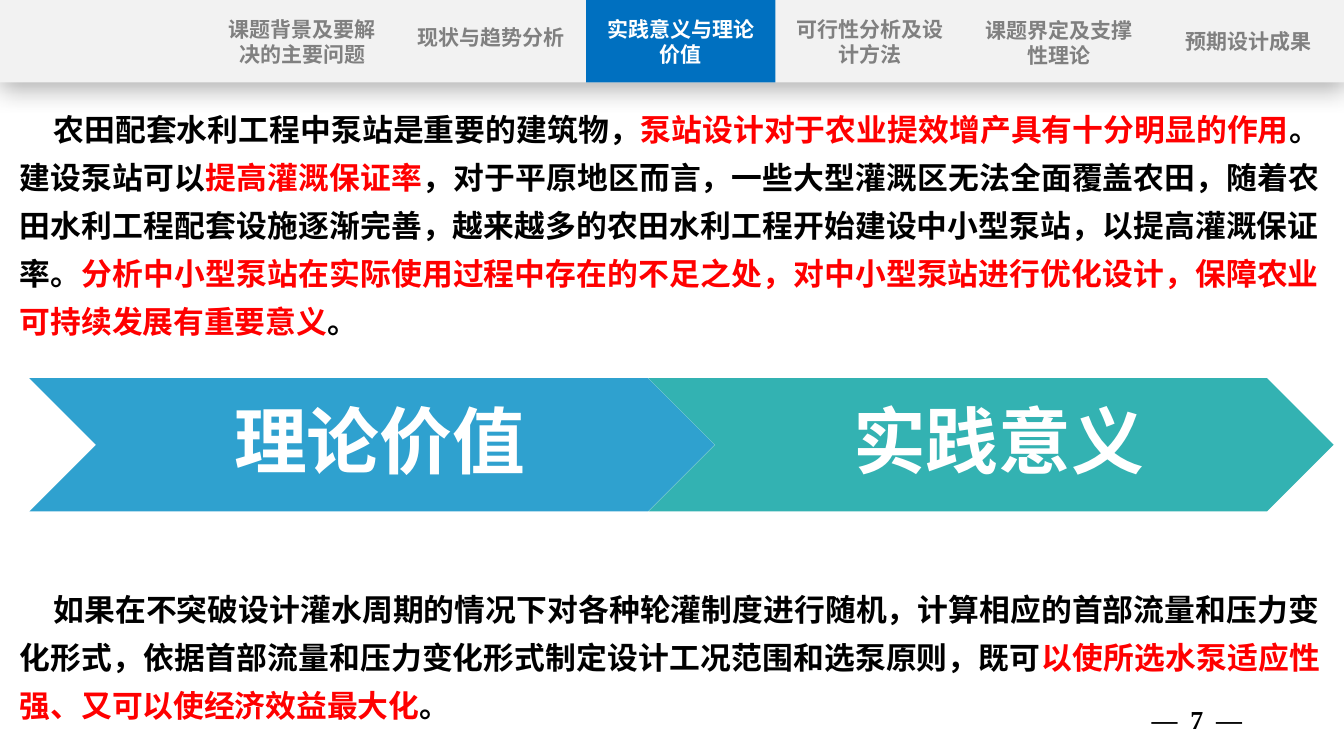
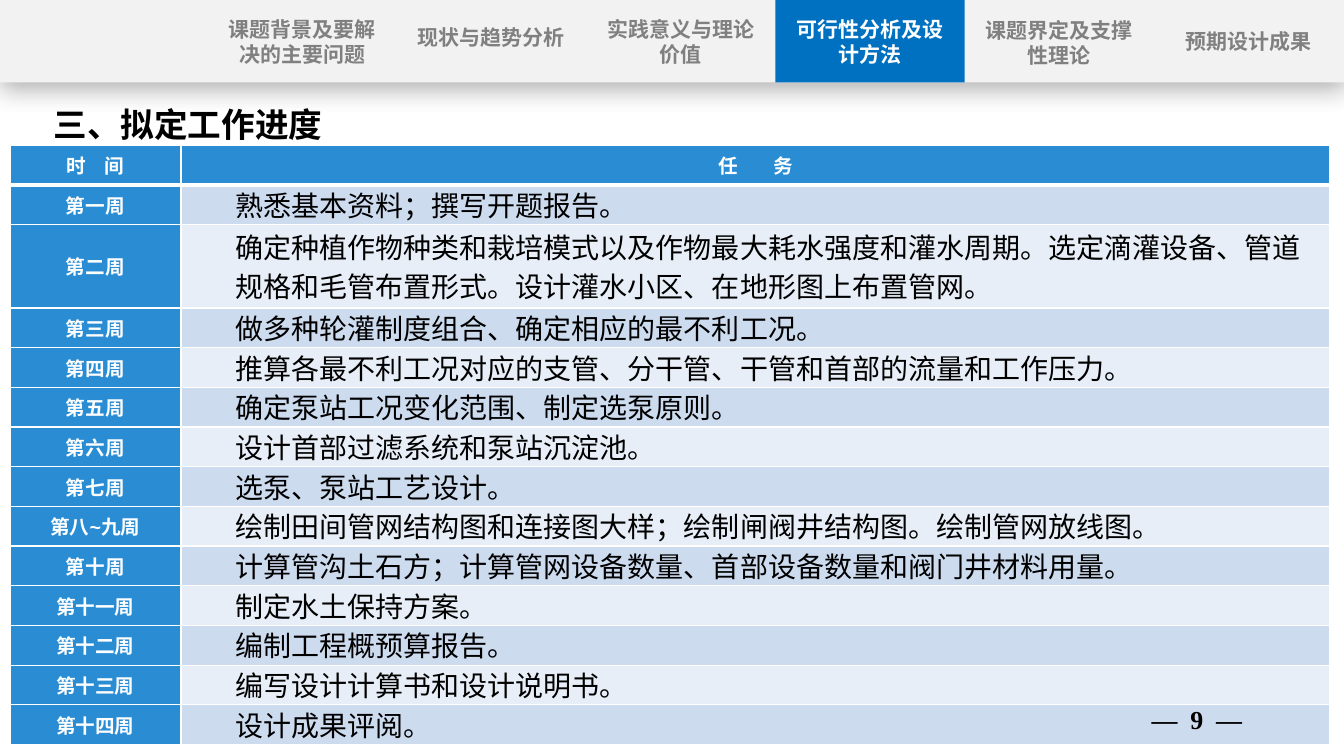
import dataclasses
import typing

import lxml.etree
import pptx
import pptx.dml.color
import pptx.enum.lang
import pptx.enum.shapes
import pptx.enum.text
import pptx.oxml
import pptx.oxml.ns
import pptx.util

Cm = pptx.util.Cm
Pt = pptx.util.Pt
Align = pptx.enum.text.PP_ALIGN
Anchor = pptx.enum.text.MSO_ANCHOR

SLIDE_WIDTH, SLIDE_HEIGHT = 33.87, 19.05
SANS, ARIAL, SERIF = "Noto Sans CJK SC", "Arial", "Times New Roman"
BLACK, WHITE, RED = "000000", "FFFFFF", "FF0000"
BAND, ACTIVE_TAB, IDLE_TEXT = "F2F2F2", "0070C0", "808080"
TABLE_BLUE, ROW_COLORS = "2A8DD4", ("CDDBEF", "E8EEF7")

BAND_HEIGHT = 2.08
TAB_LEFT, TAB_PITCH, TAB_TEXT_WIDTH = 5.23, 4.77, 4.09
MARGIN_LEFT, CONTENT_WIDTH = 0.25, 33.27
ROW_HEIGHT, TALL_ROW_HEIGHT = 1.0, 2.1


@dataclasses.dataclass(frozen=True)
class Box:
    left: float
    top: float
    width: float
    height: float

    def lengths(self) -> tuple[int, int, int, int]:
        return Cm(self.left), Cm(self.top), Cm(self.width), Cm(self.height)


@dataclasses.dataclass(frozen=True)
class Span:
    text: str
    color: str = BLACK
    extra_space: float = 0


@dataclasses.dataclass(frozen=True)
class Tab:
    label: str
    text_top: float


@dataclasses.dataclass(frozen=True)
class Chevron:
    label: str
    color: str


TABS = (
    Tab("课题背景及要解决的主要问题", 0.31),
    Tab("现状与趋势分析", 0.53),
    Tab("实践意义与理论价值", 0.31),
    Tab("可行性分析及设计方法", 0.31),
    Tab("课题界定及支撑性理论", 0.33),
    Tab("预期设计成果", 0.62),
)
CHEVRONS = (Chevron("理论价值", "2FA1CF"), Chevron("实践意义", "33B2B2"))
BACKGROUND = (
    Span("农田配套水利工程中泵站是重要的建筑物，"),
    Span("泵站设计对于农业提效增产具有十分明显的作用", RED),
    Span("。建设泵站可以"),
    Span("提高灌溉保证率", RED),
    Span("，对于平原地区而言，一些大型灌溉区无法全面覆盖农田，随着农田水利工程配套设施逐渐完善，"
         "越来越多的农田水利工程开始建设中小型泵站，以提高灌溉保证率。"),
    Span("分析中小型泵站在实际使用过程中存在的不足之处，对中小型泵站进行优化设计，"
         "保障农业可持续发展有重要意义", RED),
    Span("。"),
)
BENEFIT = (
    Span("如果在不突破设计灌水周期的情况下对各种轮灌制度进行随机，计算相应的首部流量和压力变化形式，"
         "依据首部流量和压力变化形式制定设计工况范围和选泵原则，既可"),
    Span("以使所选水泵适应性强、又可以使经济效益最大化", RED),
    Span("。"),
)
SCHEDULE = (
    ("第一周", "熟悉基本资料；撰写开题报告。"),
    ("第二周", "确定种植作物种类和栽培模式以及作物最大耗水强度和灌水周期。选定滴灌设备、管道规格和"
               "毛管布置形式。设计灌水小区、在地形图上布置管网。"),
    ("第三周", "做多种轮灌制度组合、确定相应的最不利工况。"),
    ("第四周", "推算各最不利工况对应的支管、分干管、干管和首部的流量和工作压力。"),
    ("第五周", "确定泵站工况变化范围、制定选泵原则。"),
    ("第六周", "设计首部过滤系统和泵站沉淀池。"),
    ("第七周", "选泵、泵站工艺设计。"),
    ("第八~九周", "绘制田间管网结构图和连接图大样；绘制闸阀井结构图。绘制管网放线图。"),
    ("第十周", "计算管沟土石方；计算管网设备数量、首部设备数量和阀门井材料用量。"),
    ("第十一周", "制定水土保持方案。"),
    ("第十二周", "编制工程概预算报告。"),
    ("第十三周", "编写设计计算书和设计说明书。"),
    ("第十四周", "设计成果评阅。"),
)
TALL_ROW = 2


def rgb(color: str) -> pptx.dml.color.RGBColor:
    return pptx.dml.color.RGBColor.from_string(color)


def gapped(parts: typing.Sequence[str], extra_space: float, color: str) -> list[Span]:
    """Join parts with single spaces, each widened by extra_space points."""
    spans = [Span(parts[0], color)]
    for part in parts[1:]:
        spans += [Span(" ", color, extra_space), Span(part, color)]
    return spans


def write(frame, spans: typing.Iterable[Span], *, size: float, font: str = SANS,
          bold: bool = True, align=Align.CENTER, line_spacing=None,
          left_indent: float = 0, first_indent: float = 0) -> None:
    """Fill the only paragraph of a text frame, without bullet or inherited spacing."""
    paragraph = frame.paragraphs[0]
    paragraph.alignment = align
    paragraph.space_before = paragraph.space_after = Pt(0)
    if line_spacing is not None:
        paragraph.line_spacing = line_spacing
    properties = paragraph._p.get_or_add_pPr()
    properties.set("marL", str(Cm(left_indent)))
    properties.set("indent", str(Cm(first_indent)))
    lxml.etree.SubElement(properties, pptx.oxml.ns.qn("a:buNone"))
    for span in spans:
        run = paragraph.add_run()
        run.text = span.text
        run.font.size, run.font.bold, run.font.name = Pt(size), bold, font
        run.font.language_id = pptx.enum.lang.MSO_LANGUAGE_ID.SIMPLIFIED_CHINESE
        run.font.color.rgb = rgb(span.color)
        run_properties = run.font._element
        if span.extra_space:
            run_properties.set("spc", str(round(span.extra_space * 100)))
        east_asian = lxml.etree.SubElement(run_properties, pptx.oxml.ns.qn("a:ea"))
        east_asian.set("typeface", SANS)


def prepare_frame(shape, *, anchor=Anchor.TOP,
                  margins: tuple[float, float, float, float] = (0.25, 0.13, 0.25, 0.13)):
    """Set wrapping, anchor and margins (left, top, right, bottom); return the frame."""
    frame = shape.text_frame
    frame.word_wrap = True
    frame.auto_size = pptx.enum.text.MSO_AUTO_SIZE.NONE
    frame.vertical_anchor = anchor
    (frame.margin_left, frame.margin_top,
     frame.margin_right, frame.margin_bottom) = map(Cm, margins)
    return frame


def bring_placeholder(slide, index: int, box: Box):
    """Move a placeholder to the box and in front of everything drawn so far."""
    shape = slide.placeholders[index]
    shape.left, shape.top, shape.width, shape.height = box.lengths()
    slide.shapes._spTree.append(shape._element)
    return shape


def add_filled_shape(slide, kind, box: Box, color: str):
    shape = slide.shapes.add_shape(kind, *box.lengths())
    shape.fill.solid()
    shape.fill.fore_color.rgb = rgb(color)
    shape.line.fill.background()
    shape.shadow.inherit = False
    return shape


def add_soft_shadow(shape) -> None:
    effects = shape._element.spPr.find(pptx.oxml.ns.qn("a:effectLst"))
    effects.append(pptx.oxml.parse_xml(
        f'<a:outerShdw {pptx.oxml.ns.nsdecls("a")} blurRad="{Pt(18)}" dist="{Pt(4)}" '
        f'dir="5400000" algn="t" rotWithShape="0"><a:srgbClr val="{BLACK}">'
        '<a:alpha val="29000"/></a:srgbClr></a:outerShdw>'))


def add_navigation(slide, active: int, active_is_title: bool) -> None:
    rectangle = pptx.enum.shapes.MSO_SHAPE.RECTANGLE
    band = add_filled_shape(slide, rectangle, Box(0, 0, SLIDE_WIDTH, BAND_HEIGHT), BAND)
    add_soft_shadow(band)
    add_filled_shape(slide, rectangle,
                     Box(TAB_LEFT + active * TAB_PITCH, 0, TAB_PITCH, BAND_HEIGHT), ACTIVE_TAB)
    for index, tab in enumerate(TABS):
        left = TAB_LEFT + index * TAB_PITCH + (TAB_PITCH - TAB_TEXT_WIDTH) / 2
        box = Box(left, tab.text_top, TAB_TEXT_WIDTH, 1.47)
        if index == active and active_is_title:
            shape = bring_placeholder(slide, 0, box)
        else:
            shape = slide.shapes.add_textbox(*box.lengths())
        color = WHITE if index == active else IDLE_TEXT
        write(prepare_frame(shape, margins=(0, 0.1, 0, 0.1)), [Span(tab.label, color)],
              size=15, line_spacing=Pt(18))


def add_page_number(slide, number: int) -> None:
    shape = slide.shapes.add_textbox(*Box(23.93, 17.65, 7.62, 1.02).lengths())
    write(prepare_frame(shape, anchor=Anchor.MIDDLE), gapped(("—", str(number), "—"), 4.6, BLACK),
          size=18.5, font=SERIF, align=Align.RIGHT, line_spacing=0.9)


def add_chevrons(slide) -> None:
    width, height = 17.27, 3.36
    for index, chevron in enumerate(CHEVRONS):
        box = Box(0.74 + index * (width - height / 2 + 0.01), 9.53, width, height)
        shape = add_filled_shape(slide, pptx.enum.shapes.MSO_SHAPE.CHEVRON, box, chevron.color)
        frame = prepare_frame(shape, anchor=Anchor.MIDDLE, margins=(0.58, 0.2, 0.2, 0.2))
        write(frame, [Span(chevron.label, WHITE)], size=52, font=ARIAL, line_spacing=0.9)


def format_cell(cell, color: str, top_width: float, bottom_width: float) -> None:
    cell.vertical_anchor = Anchor.MIDDLE
    cell.margin_left = cell.margin_right = Cm(0.1)
    cell.margin_top = cell.margin_bottom = Cm(0)
    properties = cell._tc.get_or_add_tcPr()
    for side, width in (("L", 1), ("R", 1), ("T", top_width), ("B", bottom_width)):
        properties.append(pptx.oxml.parse_xml(
            f'<a:ln{side} {pptx.oxml.ns.nsdecls("a")} w="{Pt(width)}"><a:solidFill>'
            f'<a:srgbClr val="{WHITE}"/></a:solidFill></a:ln{side}>'))
    cell.fill.solid()
    cell.fill.fore_color.rgb = rgb(color)


def add_schedule(slide) -> None:
    box = Box(MARGIN_LEFT, 3.66, CONTENT_WIDTH, ROW_HEIGHT * len(SCHEDULE) + TALL_ROW_HEIGHT)
    table = slide.shapes.add_table(len(SCHEDULE) + 1, 2, *box.lengths()).table
    table.columns[0].width, table.columns[1].width = Cm(4.31), Cm(CONTENT_WIDTH - 4.31)
    for index, row in enumerate(table.rows):
        row.height = Cm(TALL_ROW_HEIGHT if index == TALL_ROW else ROW_HEIGHT)

    headings = (gapped(("时", "间"), 9.4, WHITE), gapped(("任", "务"), 22, WHITE))
    for column, heading in enumerate(headings):
        cell = table.cell(0, column)
        format_cell(cell, TABLE_BLUE, 1, 3)
        write(cell.text_frame, heading, size=14, font=ARIAL)

    for index, (week, task) in enumerate(SCHEDULE):
        week_cell, task_cell = table.cell(index + 1, 0), table.cell(index + 1, 1)
        top_width = 3 if index == 0 else 1
        format_cell(week_cell, TABLE_BLUE, top_width, 1)
        format_cell(task_cell, ROW_COLORS[index % 2], top_width, 1)
        write(week_cell.text_frame, [Span(week, WHITE)], size=14, font=ARIAL)
        write(task_cell.text_frame, [Span(task)], size=20, font=ARIAL, bold=False,
              align=Align.LEFT, line_spacing=Pt(28), left_indent=1.27)


def build_significance_slide(presentation) -> None:
    slide = presentation.slides.add_slide(presentation.slide_layouts[3])
    add_navigation(slide, active=2, active_is_title=True)
    for index, spans, top, height in ((1, BACKGROUND, 2.39, 6.4), (2, BENEFIT, 14.48, 4)):
        shape = bring_placeholder(slide, index, Box(MARGIN_LEFT, top, CONTENT_WIDTH, height))
        write(prepare_frame(shape), spans, size=22, align=Align.JUSTIFY,
              line_spacing=Pt(34.3), first_indent=0.85)
    add_chevrons(slide)
    add_page_number(slide, 7)


def build_schedule_slide(presentation) -> None:
    slide = presentation.slides.add_slide(presentation.slide_layouts[5])
    add_navigation(slide, active=3, active_is_title=False)
    title = bring_placeholder(slide, 0, Box(MARGIN_LEFT, 2.18, CONTENT_WIDTH, 1.6))
    write(prepare_frame(title), [Span("三、拟定工作进度")], size=24, align=Align.JUSTIFY,
          line_spacing=Pt(37.4), first_indent=0.85)
    add_schedule(slide)
    add_page_number(slide, 9)


def main() -> None:
    presentation = pptx.Presentation()
    presentation.slide_width, presentation.slide_height = Cm(SLIDE_WIDTH), Cm(SLIDE_HEIGHT)
    build_significance_slide(presentation)
    build_schedule_slide(presentation)
    presentation.save("out.pptx")


if __name__ == "__main__":
    main()
